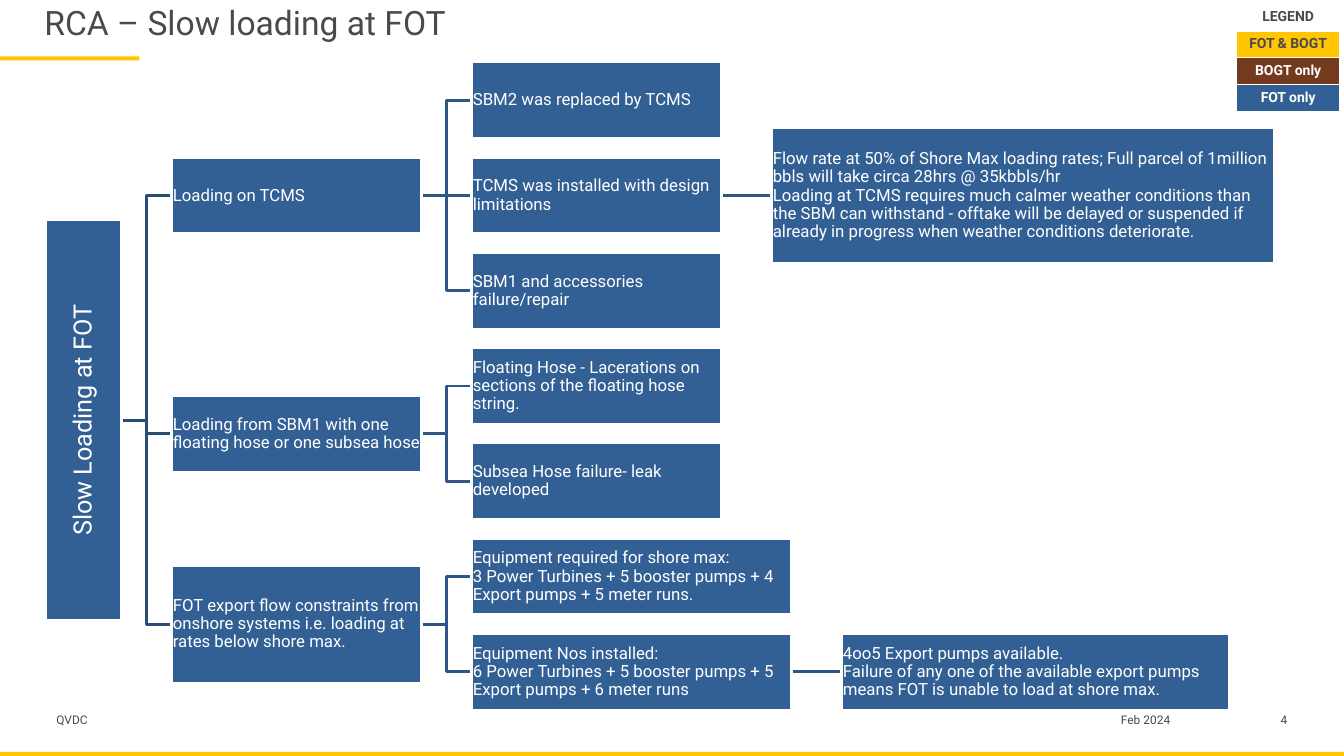
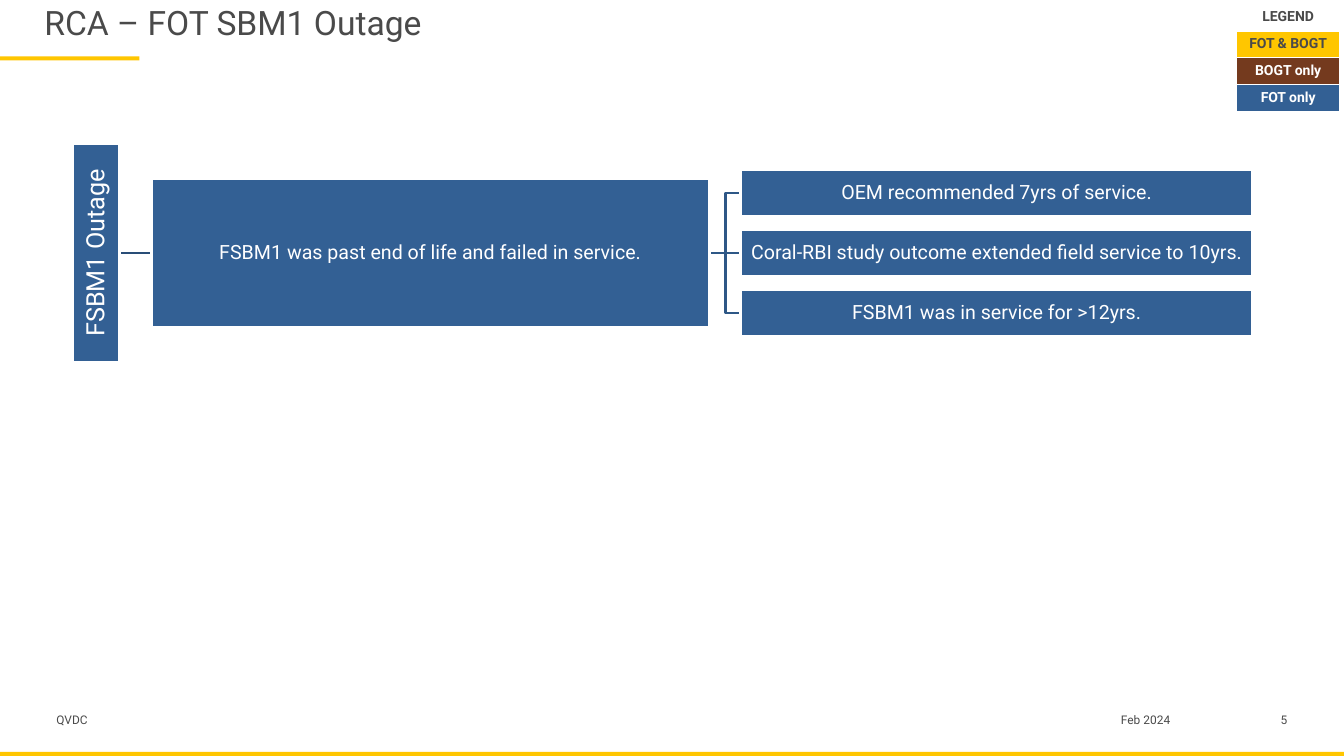
from dataclasses import dataclass, field
from itertools import count

from lxml import etree
from pptx import Presentation
from pptx import util as u
from pptx.dml.color import RGBColor
from pptx.enum import shapes, text
from pptx.oxml import ns

SLIDE_W, SLIDE_H = u.Inches(13.33), u.Inches(7.5)
LEFT, CENTER, RIGHT = text.PP_ALIGN.LEFT, text.PP_ALIGN.CENTER, text.PP_ALIGN.RIGHT


# Theme: colours and type sizes
@dataclass(frozen=True)
class Theme:
    font: str = "Roboto"
    ink: str = "4A4A4A"
    white: str = "FFFFFF"
    yellow: str = "FFC600"
    brown: str = "743A1E"
    blue: str = "336094"
    root_link: str = "294D77"
    link: str = "2E5786"
    title_pt: float = 24
    root_pt: float = 18
    legend_pt: float = 10
    footer_pt: float = 8.5
    line_pt: float = 2


THEME = Theme()


# Cause tree: node sizes are multiples of the tree's standard block
@dataclass
class Cause:
    label: str
    effects: list = field(default_factory=list)
    wide: float = 1
    tall: float = 1
    x: float = 0
    mid: float = 0


# Lengths are percentages of the slide's width (left, gap, block_w) or height
@dataclass
class TreeGrid:
    left: float
    first_row: float
    row_pitch: float
    gap: float
    block_w: float
    block_h: float
    label_pt: float
    align: int

    def width(self, cause):
        return cause.wide * self.block_w

    def height(self, cause):
        return cause.tall * self.block_h


def across(share):
    return u.Emu(round(SLIDE_W * share / 100))


def down(share):
    return u.Emu(round(SLIDE_H * share / 100))


def rgb(value):
    return RGBColor.from_string(value)


def apply(target, formats):
    for name, value in formats.items():
        setattr(target, name, value)


# Basic elements
def write(frame, label, size, color, align=LEFT, bold=False, margins=(0, 0, 0, 0),
          anchor=text.MSO_ANCHOR.TOP, spacing=1):
    sides = ("margin_left", "margin_top", "margin_right", "margin_bottom")
    apply(frame, {"word_wrap": True, "vertical_anchor": anchor}
          | {side: u.Inches(m) for side, m in zip(sides, margins)})
    line = frame.paragraphs[0]
    line.text = label
    apply(line, {"alignment": align, "line_spacing": spacing})
    apply(line.font, {"name": THEME.font, "size": u.Pt(size), "bold": bold})
    line.font.color.rgb = rgb(color)


def add_label(slide, area, label, size, align=LEFT, margins=(0, 0, 0, 0)):
    x, y, w, h = area
    label_box = slide.shapes.add_textbox(across(x), down(y), across(w), down(h))
    write(label_box.text_frame, label, size, THEME.ink, align, margins=margins)


def add_block(slide, left, top, width, height, color):
    block = slide.shapes.add_shape(shapes.MSO_SHAPE.RECTANGLE, left, top, width, height)
    block.shadow.inherit = False
    block.fill.solid()
    block.fill.fore_color.rgb = rgb(color)
    block.line.fill.background()
    return block


def add_link(slide, start, end, color):
    level = abs(start[1] - end[1]) < 0.01
    kind = shapes.MSO_CONNECTOR.STRAIGHT if level else shapes.MSO_CONNECTOR.ELBOW
    end_y = start[1] if level else end[1]
    link = slide.shapes.add_connector(kind, across(start[0]), down(start[1]),
                                      across(end[0]), down(end_y))
    link.line.width = u.Pt(THEME.line_pt)
    link.line.color.rgb = rgb(color)
    etree.SubElement(link._element.spPr, ns.qn("a:effectLst"))


# Tree layout: end nodes take the next row, others centre on their effects
def arrange(cause, grid, x, right, rows):
    cause.x = x
    for effect in cause.effects:
        child_x = right + grid.gap
        arrange(effect, grid, child_x, child_x + grid.width(effect), rows)
    if cause.effects:
        first, last = cause.effects[0], cause.effects[-1]
        cause.mid = (first.mid - grid.height(first) / 2
                     + last.mid + grid.height(last) / 2) / 2
    else:
        cause.mid = grid.first_row + next(rows) * grid.row_pitch


def add_links(slide, cause, grid, right, color):
    for effect in cause.effects:
        add_link(slide, (right, cause.mid), (effect.x, effect.mid), color)
        add_links(slide, effect, grid, effect.x + grid.width(effect), THEME.link)


def add_cause(slide, cause, size, width, height, center_x, align):
    block = add_block(slide, center_x - width // 2, down(cause.mid) - height // 2,
                      width, height, THEME.blue)
    block.line.color.rgb = rgb(THEME.white)
    block.line.width = u.Pt(THEME.line_pt)
    write(block.text_frame, cause.label, size, THEME.white, align,
          margins=(0.01,) * 4, anchor=text.MSO_ANCHOR.MIDDLE, spacing=0.9)
    return block


def add_effects(slide, cause, grid):
    for effect in cause.effects:
        width = grid.width(effect)
        add_cause(slide, effect, grid.label_pt, across(width), down(grid.height(effect)),
                  across(effect.x + width / 2), grid.align)
        add_effects(slide, effect, grid)


def add_tree(slide, root, grid):
    # The root stands upright, one block height across
    thickness, length = down(grid.block_h), down(grid.height(root))
    right = grid.left + thickness / SLIDE_W * 100
    arrange(root, grid, grid.left, right, count())
    add_links(slide, root, grid, right, THEME.root_link)
    upright = add_cause(slide, root, THEME.root_pt, length, thickness,
                        across(grid.left) + thickness // 2, CENTER)
    upright.rotation = 270
    add_effects(slide, root, grid)


# Legend table
def add_border(cell):
    properties = cell._tc.get_or_add_tcPr()
    for position, side in enumerate(("lnL", "lnR", "lnT", "lnB")):
        edge = etree.Element(ns.qn(f"a:{side}"), w=str(u.Pt(1)))
        fill = etree.SubElement(edge, ns.qn("a:solidFill"))
        etree.SubElement(fill, ns.qn("a:srgbClr"), val=THEME.white)
        properties.insert(position, edge)


def add_legend(slide):
    entries = [("LEGEND", None, THEME.ink), ("FOT & BOGT", THEME.yellow, THEME.ink),
               ("BOGT only", THEME.brown, THEME.white), ("FOT only", THEME.blue, THEME.white)]
    legend = slide.shapes.add_table(len(entries), 1, across(92.02), down(0.53),
                                    across(7.65), down(14.1)).table
    apply(legend, {"first_row": False, "horz_banding": False})
    for row, (label, color, ink) in enumerate(entries):
        cell = legend.cell(row, 0)
        write(cell.text_frame, label, THEME.legend_pt, ink, CENTER, bold=True)
        apply(cell, {f"margin_{side}": u.Inches(0.05)
                     for side in ("left", "top", "right", "bottom")})
        if color:
            cell.fill.solid()
            cell.fill.fore_color.rgb = rgb(color)
        else:
            cell.fill.background()
        add_border(cell)


# Frame shared by all slides
def add_framed_slide(deck, title, number):
    slide = deck.slides.add_slide(deck.slide_layouts[6])
    for x, y, w, h in ((0, 7.47, 10.38, 0.53), (0, 99.47, 100, 0.53)):
        add_block(slide, across(x), down(y), across(w), down(h), THEME.yellow)
    add_label(slide, (3.3, 0.27, 91.65, 5.2), title, THEME.title_pt)
    footers = ((4.2, 27.5, "QVDC", LEFT), (79.35, 11.78, "Feb 2024", CENTER),
               (92.85, 2.93, str(number), RIGHT))
    for x, w, label, align in footers:
        add_label(slide, (x, 94.27, w, 3.47), label, THEME.footer_pt, align, (0, 0, 0, 0.05))
    add_legend(slide)
    return slide


# Content
def slow_loading():
    return Cause("Slow Loading at FOT", tall=5.24, effects=[
        Cause("Loading on TCMS", [
            Cause("SBM2 was replaced by TCMS"),
            Cause("TCMS was installed with design limitations", [
                Cause("Flow rate at 50% of Shore Max loading rates; Full parcel of 1million "
                      "bbls will take circa 28hrs @ 35kbbls/hr\n"
                      "Loading at TCMS requires much calmer weather conditions than the SBM "
                      "can withstand - offtake will be delayed or suspended if already in "
                      "progress when weather conditions deteriorate.", wide=2.01, tall=1.77)]),
            Cause("SBM1 and accessories failure/repair")]),
        Cause("Loading from SBM1 with one floating hose or one subsea hose", [
            Cause("Floating Hose - Lacerations on sections of the floating hose string."),
            Cause("Subsea Hose failure- leak developed")]),
        Cause("FOT export flow constraints from onshore systems i.e. loading at rates "
              "below shore max.", tall=1.54, effects=[
                  Cause("Equipment required for shore max:\n3 Power Turbines + 5 booster "
                        "pumps + 4 Export pumps + 5 meter runs.", wide=1.28),
                  Cause("Equipment Nos installed:\n6 Power Turbines + 5 booster pumps + 5 "
                        "Export pumps + 6 meter runs", wide=1.28, effects=[
                            Cause("4oo5 Export pumps available.\nFailure of any one of the "
                                  "available export pumps means FOT is unable to load at "
                                  "shore max.", wide=1.55)])])])


def sbm1_outage():
    return Cause("FSBM1 Outage", tall=4.62, effects=[
        Cause("FSBM1 was past end of life and failed in service.", wide=1.09, tall=3.13, effects=[
            Cause("OEM recommended 7yrs of service."),
            Cause("Coral-RBI study outcome extended field service to 10yrs."),
            Cause("FSBM1 was in service for >12yrs.")])])


def main():
    deck = Presentation()
    apply(deck, {"slide_width": SLIDE_W, "slide_height": SLIDE_H})
    pages = [
        ("RCA – Slow loading at FOT", slow_loading(),
         TreeGrid(left=3.37, first_row=13.27, row_pitch=12.6, gap=3.72,
                  block_w=18.6, block_h=10.13, label_pt=12, align=LEFT)),
        ("RCA – FOT SBM1 Outage", sbm1_outage(),
         TreeGrid(left=5.4, first_row=25.53, row_pitch=7.93, gap=2.33,
                  block_w=38.1, block_h=6.27, label_pt=14, align=CENTER)),
    ]
    for number, (title, root, grid) in enumerate(pages, start=4):
        add_tree(add_framed_slide(deck, title, number), root, grid)
    deck.save("out.pptx")


if __name__ == "__main__":
    main()
